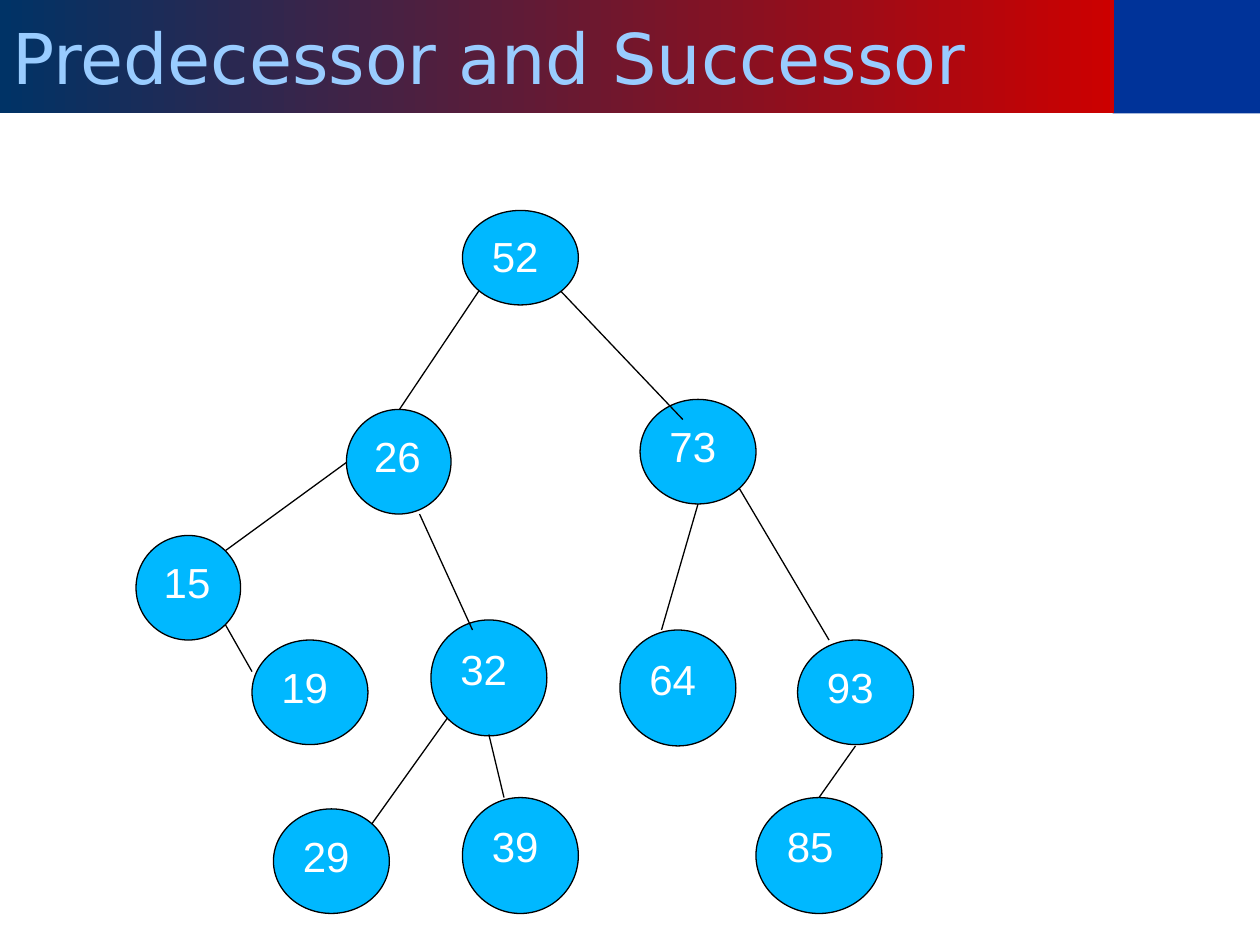
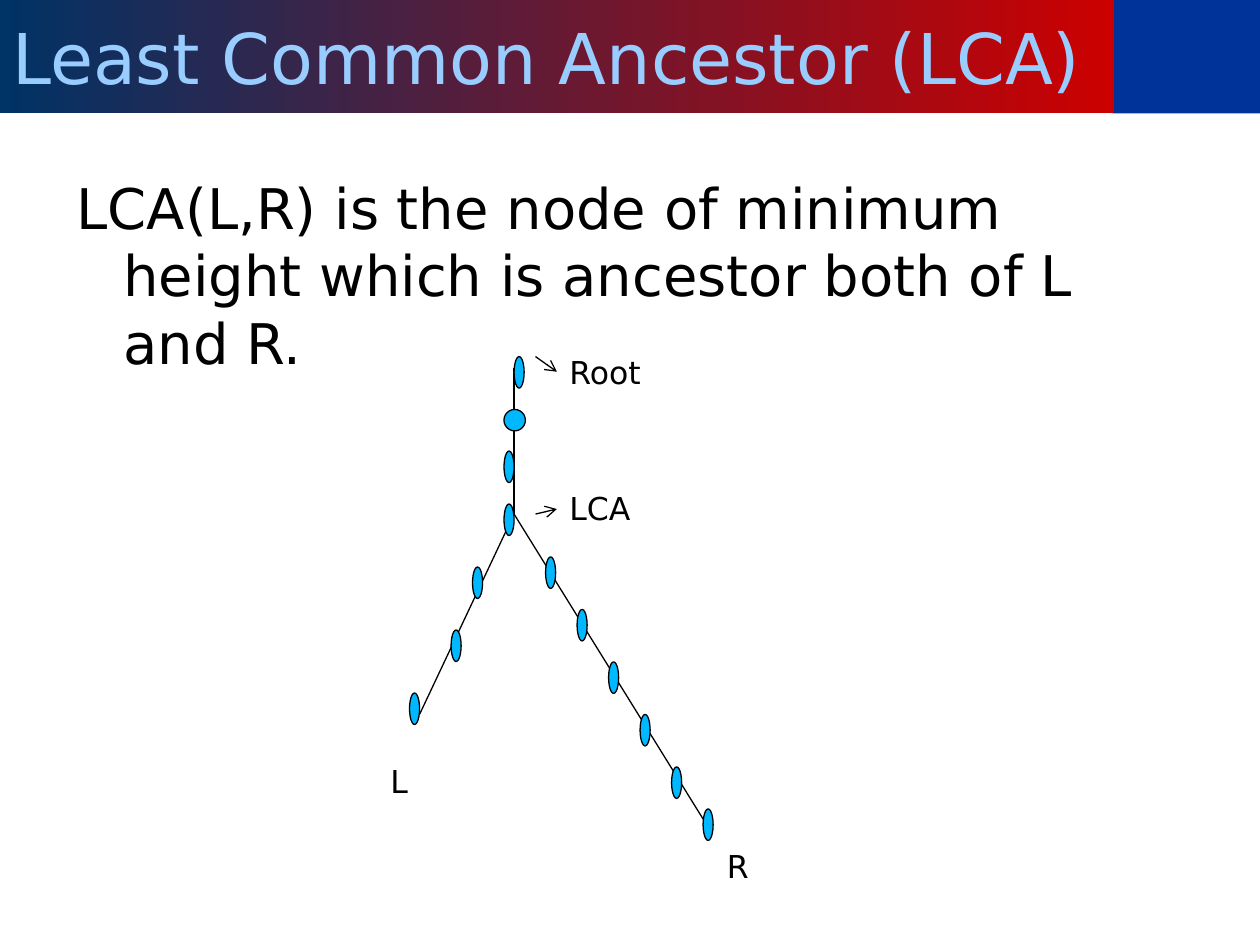
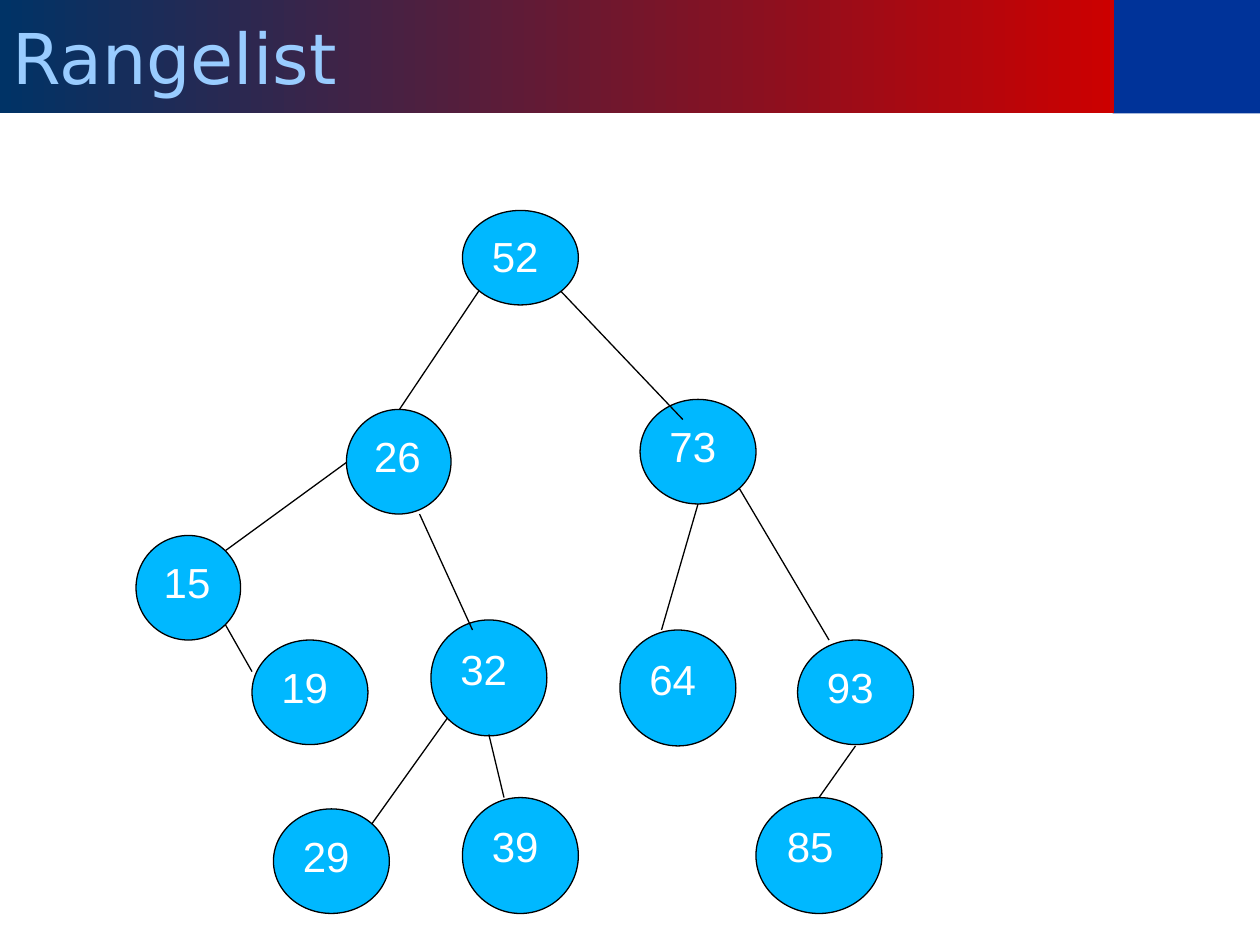
from lxml import etree
from pptx import Presentation
from pptx import util as u
from pptx.dml.color import RGBColor
from pptx.enum import shapes, text
from pptx.oxml.ns import qn

TITLE_BLUE = RGBColor(0x99, 0xCC, 0xFF)
BAND_RED = RGBColor(0xCC, 0x00, 0x00)
BAND_NAVY = RGBColor(0x00, 0x33, 0x66)
CORNER_BLUE = RGBColor(0x00, 0x33, 0x99)
NODE_BLUE = RGBColor(0x00, 0xB8, 0xFF)
BLACK = RGBColor(0, 0, 0)
WHITE = RGBColor(0xFF, 0xFF, 0xFF)

TEXT_FONT = "DejaVu Sans"
NODE_FONT = "Arial"
OUTLINE = u.Pt(0.75)

# Search tree: key -> left, top, width, height within the tree's box
TREE_NODES = {
    "52": (2.67, 0.17, 0.92, 0.75),
    "26": (1.75, 1.75, 0.83, 0.83),
    "73": (4.08, 1.67, 0.92, 0.83),
    "15": (0.08, 2.75, 0.83, 0.83),
    "32": (2.42, 3.42, 0.92, 0.92),
    "64": (3.92, 3.5, 0.92, 0.92),
    "93": (5.33, 3.58, 0.92, 0.83),
    "19": (1, 3.58, 0.92, 0.83),
    "29": (1.17, 4.92, 0.92, 0.83),
    "39": (2.67, 4.83, 0.92, 0.92),
    "85": (5, 4.83, 1, 0.92),
}
# Edges: start and end point within the tree's box
TREE_EDGES = [
    ((2.8, 0.81), (2.17, 1.75)),    # 52 - 26
    ((3.45, 0.81), (4.42, 1.83)),   # 52 - 73
    ((1.75, 2.17), (0.79, 2.87)),   # 26 - 15
    ((2.33, 2.58), (2.75, 3.5)),    # 26 - 32
    ((4.54, 2.5), (4.25, 3.5)),     # 73 - 64
    ((4.87, 2.38), (5.58, 3.58)),   # 73 - 93
    ((0.79, 3.46), (1, 3.83)),      # 15 - 19
    ((2.55, 4.2), (1.95, 5.04)),    # 32 - 29
    ((2.88, 4.33), (3, 4.83)),      # 32 - 39
    ((5.79, 4.42), (5.5, 4.83)),    # 93 - 85
]


def add_span(para, words, size, color, font=TEXT_FONT):
    span = para.add_run()
    span.text = words
    span.font.size = u.Pt(size)
    span.font.name = font
    span.font.color.rgb = color


def add_plain_shape(page, kind, left, top, width, height):
    shape = page.shapes.add_shape(
        kind, *(u.Inches(length) for length in (left, top, width, height)))
    shape.shadow.inherit = False
    shape.line.fill.background()
    return shape


def add_node(page, left, top, width, height, key=""):
    node = add_plain_shape(page, shapes.MSO_SHAPE.OVAL, left, top, width, height)
    node.fill.solid()
    node.fill.fore_color.rgb = NODE_BLUE
    node.line.color.rgb = BLACK
    node.line.width = OUTLINE
    if key:
        node.text_frame.vertical_anchor = text.MSO_ANCHOR.TOP
        para = node.text_frame.paragraphs[0]
        para.alignment = text.PP_ALIGN.LEFT
        add_span(para, key, 24, WHITE, NODE_FONT)


def add_edge(page, origin, start, end, arrow=False):
    left, top = origin
    edge = page.shapes.add_connector(
        shapes.MSO_CONNECTOR.STRAIGHT,
        u.Inches(left + start[0]), u.Inches(top + start[1]),
        u.Inches(left + end[0]), u.Inches(top + end[1]))
    edge.line.color.rgb = BLACK
    edge.line.width = OUTLINE
    properties = edge._element.spPr
    if arrow:
        etree.SubElement(properties.find(qn("a:ln")), qn("a:tailEnd"), type="arrow")
    etree.SubElement(properties, qn("a:effectLst"))


def add_header(page, title):
    # Corner block
    corner = add_plain_shape(page, shapes.MSO_SHAPE.RECTANGLE, 8.83, 0, 1.17, 0.9)
    corner.fill.solid()
    corner.fill.fore_color.rgb = CORNER_BLUE
    # Title band
    band = add_plain_shape(page, shapes.MSO_SHAPE.RECTANGLE, 0, 0, 8.84, 0.9)
    band.fill.gradient()
    band.fill.gradient_angle = 180
    for stop, color in zip(band.fill.gradient_stops, (BAND_RED, BAND_NAVY)):
        stop.color.rgb = color
    band.text_frame.vertical_anchor = text.MSO_ANCHOR.MIDDLE
    para = band.text_frame.paragraphs[0]
    para.alignment = text.PP_ALIGN.LEFT
    add_span(para, title, 40, TITLE_BLUE)


def add_definition(page, words, left, top, width, height):
    box = page.shapes.add_textbox(
        u.Inches(left), u.Inches(top), u.Inches(width), u.Inches(height))
    box.text_frame.word_wrap = True
    para = box.text_frame.paragraphs[0]
    para.space_before = u.Pt(8)
    # Hanging indent
    properties = para._p.get_or_add_pPr()
    properties.set("marL", str(u.Inches(0.38)))
    properties.set("indent", str(u.Inches(-0.37)))
    add_span(para, words, 32, BLACK)


def add_label(page, words, left, top, width):
    box = page.shapes.add_textbox(
        u.Inches(left), u.Inches(top), u.Inches(width), u.Inches(0.4))
    box.text_frame.word_wrap = False
    box.text_frame.auto_size = text.MSO_AUTO_SIZE.SHAPE_TO_FIT_TEXT
    add_span(box.text_frame.paragraphs[0], words, 18, BLACK)


def add_search_tree(page, left, top):
    for key, (x, y, width, height) in TREE_NODES.items():
        add_node(page, left + x, top + y, width, height, key)
    for start, end in TREE_EDGES:
        add_edge(page, (left, top), start, end)


def add_ancestor_diagram(page, left, top):
    origin = (left, top)
    # Trunk and the two branches below the common ancestor
    fork = (1.08, 1.33)
    for start, end in (((1.08, 0.17), fork), (fork, (0.33, 2.92)), (fork, (2.58, 3.75))):
        add_edge(page, origin, start, end)
    # Nodes on the trunk, the left branch and the right branch
    add_node(page, left + 1, top + 0.5, 0.17, 0.17)
    trunk = [(1.08, 0.08), (1, 0.83), (1, 1.25)]
    left_branch = [(0.75, 1.75), (0.58, 2.25), (0.25, 2.75)]
    right_branch = [(1.33 + 0.25 * i, 1.67 + 5 / 12 * i) for i in range(5)]
    for x, y in trunk + left_branch + right_branch + [(2.58, 3.67)]:
        add_node(page, left + x, top + y, 0.08, 0.25)
    # Labels and their arrows
    for words, x, y, width in (("L", 0, 3.25, 0.34), ("R", 2.67, 3.92, 0.38),
                               ("LCA", 1.42, 1.08, 0.77), ("Root", 1.42, 0, 0.78)):
        add_label(page, words, left + x, top + y, width)
    add_edge(page, origin, (1.25, 0.08), (1.42, 0.2), arrow=True)
    add_edge(page, origin, (1.25, 1.33), (1.42, 1.29), arrow=True)


def add_page(deck, title):
    page = deck.slides.add_slide(deck.slide_layouts[6])
    add_header(page, title)
    return page


def add_tree_page(deck, title):
    add_search_tree(add_page(deck, title), 1, 1.5)


def add_ancestor_page(deck):
    page = add_page(deck, "Least Common Ancestor (LCA)")
    add_definition(
        page,
        "LCA(L,R) is the node of minimum height which is ancestor both of L and R.",
        0.5, 1.33, 9, 5.37)
    add_ancestor_diagram(page, 3, 2.75)


def main():
    deck = Presentation()
    deck.slide_width = u.Inches(10)
    deck.slide_height = u.Inches(7.5)
    add_tree_page(deck, "Predecessor and Successor")
    add_ancestor_page(deck)
    add_tree_page(deck, "Rangelist")
    deck.save("out.pptx")


if __name__ == "__main__":
    main()
